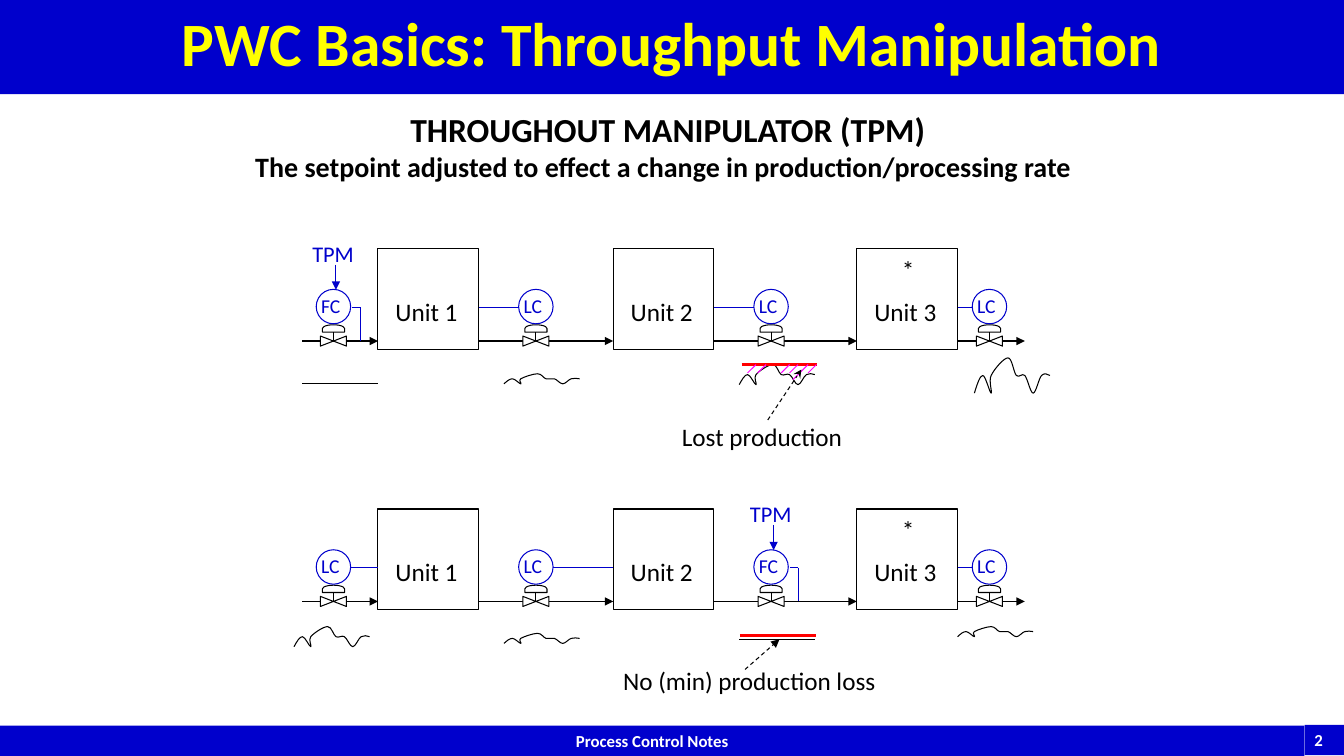
"""Build the slide on throughput manipulation, on a grid of 160 columns by 90 rows."""
import lxml.etree
import pptx
import pptx.dml.color
import pptx.enum.dml
import pptx.enum.shapes
import pptx.enum.text
import pptx.oxml
import pptx.oxml.ns
import pptx.util

RGBColor = pptx.dml.color.RGBColor
SHAPE = pptx.enum.shapes.MSO_SHAPE
ALIGN = pptx.enum.text.PP_ALIGN
BLUE = RGBColor(0x00, 0x00, 0xCC)
YELLOW = RGBColor(0xFF, 0xFF, 0x00)
WHITE = RGBColor(0xFF, 0xFF, 0xFF)
BLACK = RGBColor(0x00, 0x00, 0x00)
RED = RGBColor(0xFF, 0x00, 0x00)
MAGENTA = RGBColor(0xFF, 0x00, 0xFF)

COLUMNS, ROWS = 160, 90
UNIT_LEFTS = (45, 73, 102)
UNIT_SIZE = 10
VALVES = (39.7, 63.8, 91.8, 117.8)
PIPES = ((36, 45), (57, 73), (85, 102), (114, 122))
WAVE_LENGTH = 9
WAVE = (
    (0, 1), (0.33, 0.75), (0.67, 0.5), (1, 0.5), (1.33, 0.5), (1.83, 1), (2, 1),
    (2.17, 1), (1.67, 0.66), (2, 0.5), (2.33, 0.33), (3.5, 0), (4, 0),
    (4.5, 0), (4.67, 0.42), (5, 0.5), (5.33, 0.58), (5.67, 0.42), (6, 0.5),
    (6.33, 0.58), (6.67, 1), (7, 1), (7.33, 1), (7.67, 0.58), (8, 0.5),
    (8.33, 0.42), (8.67, 0.46), (9, 0.5),
)


def grid(*cells):
    """Turn grid columns or rows into lengths."""
    return [pptx.util.Inches(cell / 12) for cell in cells]


def write(para, text, size=18, colour=BLACK, bold=False, align=ALIGN.LEFT):
    """Put formatted text into a paragraph."""
    para.alignment = align
    span = para.add_run()
    span.text = text
    span.font.name = "Calibri"
    span.font.size = pptx.util.Pt(size)
    span.font.bold = bold
    span.font.color.rgb = colour


def add_label(slide, text, left, top, width, height, **style):
    """Add an unwrapped text box and return its frame."""
    box = slide.shapes.add_textbox(*grid(left, top, width, height))
    box.text_frame.word_wrap = False
    box.text_frame.auto_size = pptx.enum.text.MSO_AUTO_SIZE.SHAPE_TO_FIT_TEXT
    write(box.text_frame.paragraphs[0], text, **style)
    return box.text_frame


def paint(shape, fill=None, line=BLACK):
    """Set the fill and outline of a shape, without shadow."""
    shape.shadow.inherit = False
    if fill is None:
        shape.fill.background()
    else:
        shape.fill.solid()
        shape.fill.fore_color.rgb = fill
    if line is None:
        shape.line.fill.background()
    else:
        shape.line.color.rgb = line
        shape.line.width = pptx.util.Pt(0.75)


def add_centred(slide, kind, x, y, width, height, rotation=0, **colours):
    """Add a preset shape around a centre point."""
    shape = slide.shapes.add_shape(
        kind, *grid(x - width / 2, y - height / 2, width, height))
    shape.rotation = rotation
    paint(shape, **colours)


def add_line(slide, start, end, colour=BLACK, width=0.75, head=None, dashed=False):
    """Draw a straight line, with an arrowhead at its end if named."""
    line = slide.shapes.add_connector(
        pptx.enum.shapes.MSO_CONNECTOR.STRAIGHT, *grid(*start, *end))
    line.line.color.rgb = colour
    line.line.width = pptx.util.Pt(width)
    if dashed:
        line.line.dash_style = pptx.enum.dml.MSO_LINE.DASH
    qn = pptx.oxml.ns.qn
    if head:
        lxml.etree.SubElement(line.line._get_or_add_ln(), qn("a:tailEnd"), type=head)
    lxml.etree.SubElement(line._element.spPr, qn("a:effectLst"))


def add_wave(slide, left, top, height):
    """Draw a curved flow trace through the wave's control points."""
    points = [grid(left + x, top + y * height) for x, y in WAVE]
    builder = slide.shapes.build_freeform(*points[0])
    builder.add_line_segments(points[1:], close=False)
    wave = builder.convert_to_shape()
    paint(wave)
    qn = pptx.oxml.ns.qn
    segments = list(wave._element.iter(qn("a:lnTo")))
    outline = segments[0].getparent()
    for index in range(0, len(segments), 3):
        curve = lxml.etree.SubElement(outline, qn("a:cubicBezTo"))
        for segment in segments[index:index + 3]:
            curve.append(segment[0])
            outline.remove(segment)


def add_valve(slide, x, pipe):
    """Draw a control valve on the pipe."""
    add_centred(slide, SHAPE.FLOWCHART_COLLATE, x, pipe, 1.2, 3.1, 270, fill=WHITE)
    add_centred(slide, SHAPE.FLOWCHART_DELAY, x, pipe - 1.5, 0.87, 2.64, 270, fill=WHITE)
    add_line(slide, (x, pipe), (x, pipe - 1.1))


def add_controller(slide, name, x, pipe):
    """Draw a round controller above its valve."""
    add_centred(slide, SHAPE.OVAL, x, pipe - 4.1, 4.1, 4.1, line=BLUE)
    add_label(slide, name, x - 2.65, pipe - 6.2, 4.7, 4.1, size=14, colour=BLUE)


def add_flow_control(slide, x, pipe):
    """Draw the flow controller that serves as throughput manipulator."""
    add_controller(slide, "FC", x, pipe)
    signal, sensor = pipe - 4, x + 3.25
    add_line(slide, (sensor, pipe), (sensor, signal), BLUE)
    add_line(slide, (sensor, signal), (x + 2.2, signal), BLUE)
    add_line(slide, (x + 0.3, pipe - 9.1), (x + 0.3, pipe - 6.1), BLUE, head="triangle")
    add_label(slide, "TPM", x - 3.7, pipe - 12.6, 7.4, 4.4, size=16, colour=BLUE)


def add_level_control(slide, x, pipe, unit_edge):
    """Draw a level controller and its signal line from a unit."""
    add_controller(slide, "LC", x, pipe)
    rim = x + 2.05 if unit_edge > x else x - 2.05
    add_line(slide, (unit_edge, pipe - 4), (rim, pipe - 4), BLUE)


def add_process(slide, pipe, unit_edges):
    """Draw three units in series; a valve without unit edge is the manipulator."""
    middle = UNIT_SIZE / 2
    unit_top = pipe - 11
    for number, left in enumerate(UNIT_LEFTS, 1):
        side = UNIT_SIZE + 2
        add_centred(slide, SHAPE.RECTANGLE, left + side / 2, unit_top + side / 2, side, side)
        add_label(slide, f"Unit {number}", left + 0.9, pipe - 5.9, 10.2, 4.8)
    add_label(slide, "*", UNIT_LEFTS[-1] + middle - 0.8, unit_top + 0.1, 4, 4.8)
    for start, end in PIPES:
        add_line(slide, (start, pipe), (end, pipe), head="triangle")
    for x, edge in zip(VALVES, unit_edges):
        add_valve(slide, x, pipe)
        if edge is None:
            add_flow_control(slide, x, pipe)
        else:
            add_level_control(slide, x, pipe, edge)


def add_bar(slide, text, left, top, width, height, align):
    """Add a blue footer bar with white text."""
    bar = slide.shapes.add_shape(SHAPE.RECTANGLE, *grid(left, top, width, height))
    paint(bar, fill=BLUE, line=None)
    write(bar.text_frame.paragraphs[0], text, size=12, colour=WHITE, bold=True, align=align)


def add_headings(slide):
    """Fill the title, the definition and the footer."""
    title = slide.shapes.title
    title.left, title.top, title.width, title.height = grid(0, 0, COLUMNS, 11.2)
    title.fill.solid()
    title.fill.fore_color.rgb = BLUE
    para = title.text_frame.paragraphs[0]
    para.line_spacing = 0.9
    write(para, "PWC Basics: Throughput Manipulation",
          size=44, colour=YELLOW, bold=True, align=ALIGN.CENTER)
    frame = add_label(slide, "THROUGHOUT MANIPULATOR (TPM)", 29.2, 12.4, 100.6, 10.1,
                      size=24, bold=True, align=ALIGN.CENTER)
    write(frame.add_paragraph(),
          "The setpoint adjusted to effect a change in production/processing rate",
          size=20, bold=True)
    add_bar(slide, "Process Control Notes", 0, 86.4, 155.3, 3.6, ALIGN.CENTER)
    add_bar(slide, "2", 155.3, 86.3, 4.7, 3.6, ALIGN.LEFT)


def add_traces(slide):
    """Draw the flow traces and the notes on lost production."""
    for left, top, height in ((60, 44.5, 1.2), (88, 43.4, 2.4), (116, 42.6, 4.2),
                              (35, 74.6, 2.4), (60, 75.4, 1.2), (114, 74.6, 1.2)):
        add_wave(slide, left, top, height)
    for left, row, colour, width in ((36, 45.6, BLACK, 0.75), (88.3, 43.4, RED, 2),
                                     (88, 76.1, BLACK, 0.75), (88.1, 75.7, RED, 2)):
        add_line(slide, (left, row), (left + WAVE_LENGTH, row), colour, width)
    for x, reach in ((90, 1), (91.2, 1), (94, 1), (95, 1), (96.2, 1.8), (97.2, 1)):
        add_line(slide, (x, 43.4), (x - reach, 43.4 + reach), MAGENTA)
    add_line(slide, (91.4, 50), (95.4, 44), head="stealth", dashed=True)
    add_label(slide, "Lost production", 80, 49.6, 21.7, 4.8)
    add_line(slide, (88.7, 79.7), (92.8, 76.1), head="triangle", dashed=True)
    add_label(slide, "No (min) production loss", 73, 78.6, 32.9, 4.8)


def main():
    """Build and save the deck."""
    deck = pptx.Presentation()
    deck.slide_width, deck.slide_height = grid(COLUMNS, ROWS)
    slide = deck.slides.add_slide(deck.slide_layouts[5])
    add_headings(slide)
    add_process(slide, 40.6, (None, 57, 85, 114))
    add_process(slide, 71.6, (45, 73, None, 114))
    add_traces(slide)
    deck.save("out.pptx")


main()
